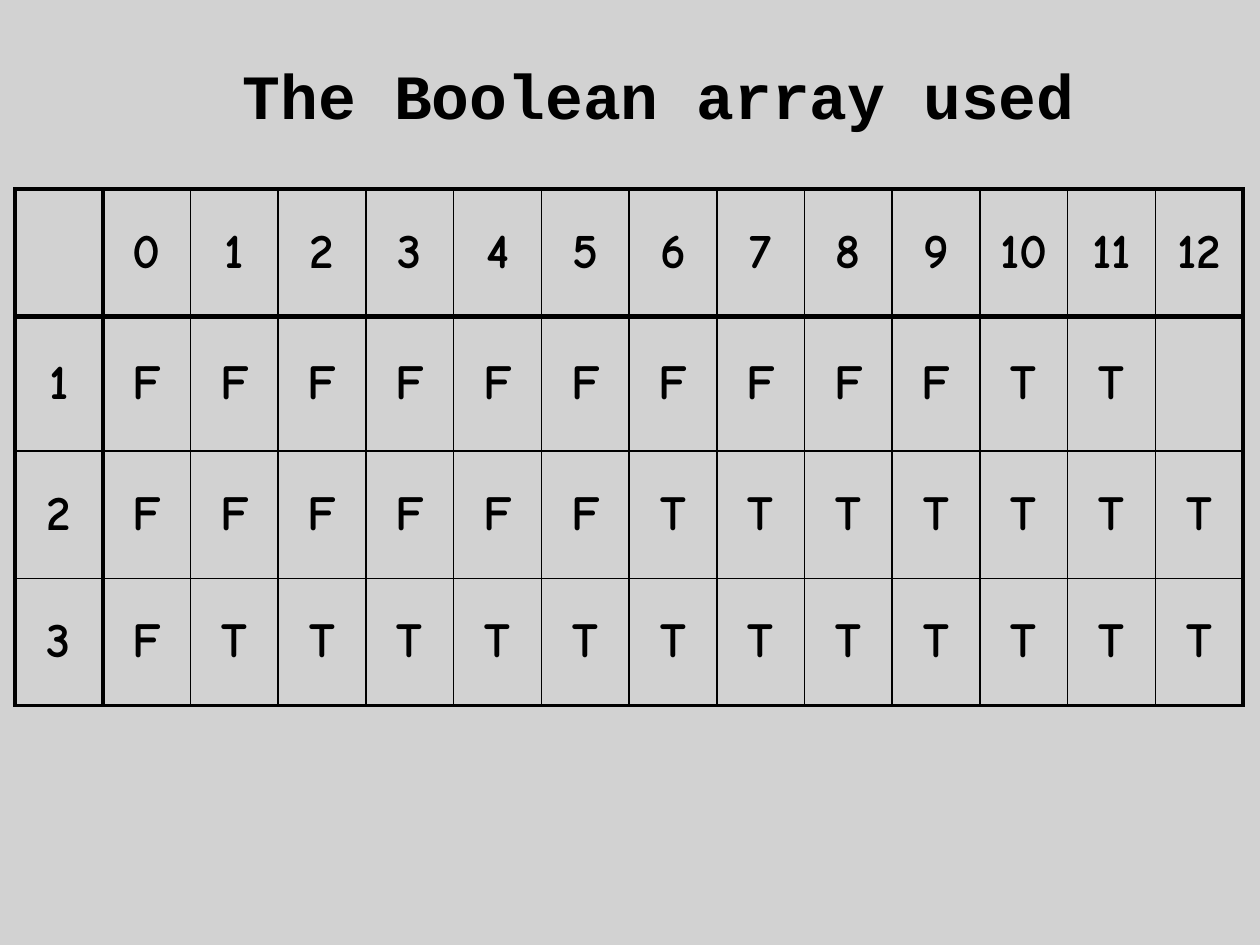
from pptx import Presentation
from pptx.dml.color import RGBColor
from pptx.enum.shapes import MSO_SHAPE
from pptx.enum.text import MSO_ANCHOR, MSO_AUTO_SIZE, PP_ALIGN
from pptx.oxml.ns import qn
from pptx.util import Inches, Pt
from lxml.etree import SubElement


def paint(color, value):
    color.rgb = RGBColor.from_string(value)


def write(frame, text, font, size):
    run = frame.paragraphs[0].add_run()
    run.text = text
    run.font.name = font
    run.font.size = Pt(size)
    run.font.bold = True
    paint(run.font.color, "000000")


deck = Presentation()
deck.slide_width, deck.slide_height = Inches(10), Inches(7.5)
slide = deck.slides.add_slide(deck.slide_layouts[6])
shapes = slide.shapes

# Translucent grey backdrop
back = shapes.add_shape(MSO_SHAPE.RECTANGLE, 0, 0, Inches(10), Inches(7.5))
back.shadow.inherit = False
back.line.fill.background()
back.fill.solid()
paint(back.fill.fore_color, "C0C0C0")
tint = back.fill._xPr.find(".//" + qn("a:srgbClr"))
SubElement(tint, qn("a:alpha"), val="70000")

# Cell values: header row, then one row per item
rows = [
    [""] + [str(n) for n in range(13)],
    ["1"] + ["F"] * 10 + ["T"] * 2 + [""],
    ["2"] + ["F"] * 6 + ["T"] * 7,
    ["3"] + ["F"] + ["T"] * 12,
]
highs = [1.01, 1.07, 1.01, 1.01]
wide = Inches(9.75)

# Line widths, in points, at each grid line
cols = [2.25, 3] + [1] * 12 + [2.25]
bars = [2.25, 3, 1, 1, 2.25]

# Boolean table
frame = shapes.add_table(4, 14, Inches(0.12), Inches(1.5), wide, Inches(sum(highs)))
table = frame.table
table.first_row = table.horz_banding = False
for col in table.columns:
    col.width = wide // 14
for i, row in enumerate(rows):
    table.rows[i].height = Inches(highs[i])
    for j, text in enumerate(row):
        cell = table.cell(i, j)
        cell.vertical_anchor = MSO_ANCHOR.MIDDLE
        edges = {"L": cols[j], "R": cols[j + 1], "T": bars[i], "B": bars[i + 1]}
        props = cell._tc.get_or_add_tcPr()
        for side, width in edges.items():
            line = SubElement(props, qn("a:ln" + side), w=str(Pt(width)))
            fill = SubElement(line, qn("a:solidFill"))
            SubElement(fill, qn("a:srgbClr"), val="000000")
        cell.fill.background()
        if text:
            cell.text_frame.paragraphs[0].alignment = PP_ALIGN.CENTER
            write(cell.text_frame, text, "Comic Neue", 28)

# Title
title = shapes.add_textbox(Inches(1.83), Inches(0.4), Inches(6.87), Inches(0.71))
title.text_frame.word_wrap = True
title.text_frame.auto_size = MSO_AUTO_SIZE.SHAPE_TO_FIT_TEXT
write(title.text_frame, "The Boolean array used", "Courier New", 36)

deck.save("out.pptx")
